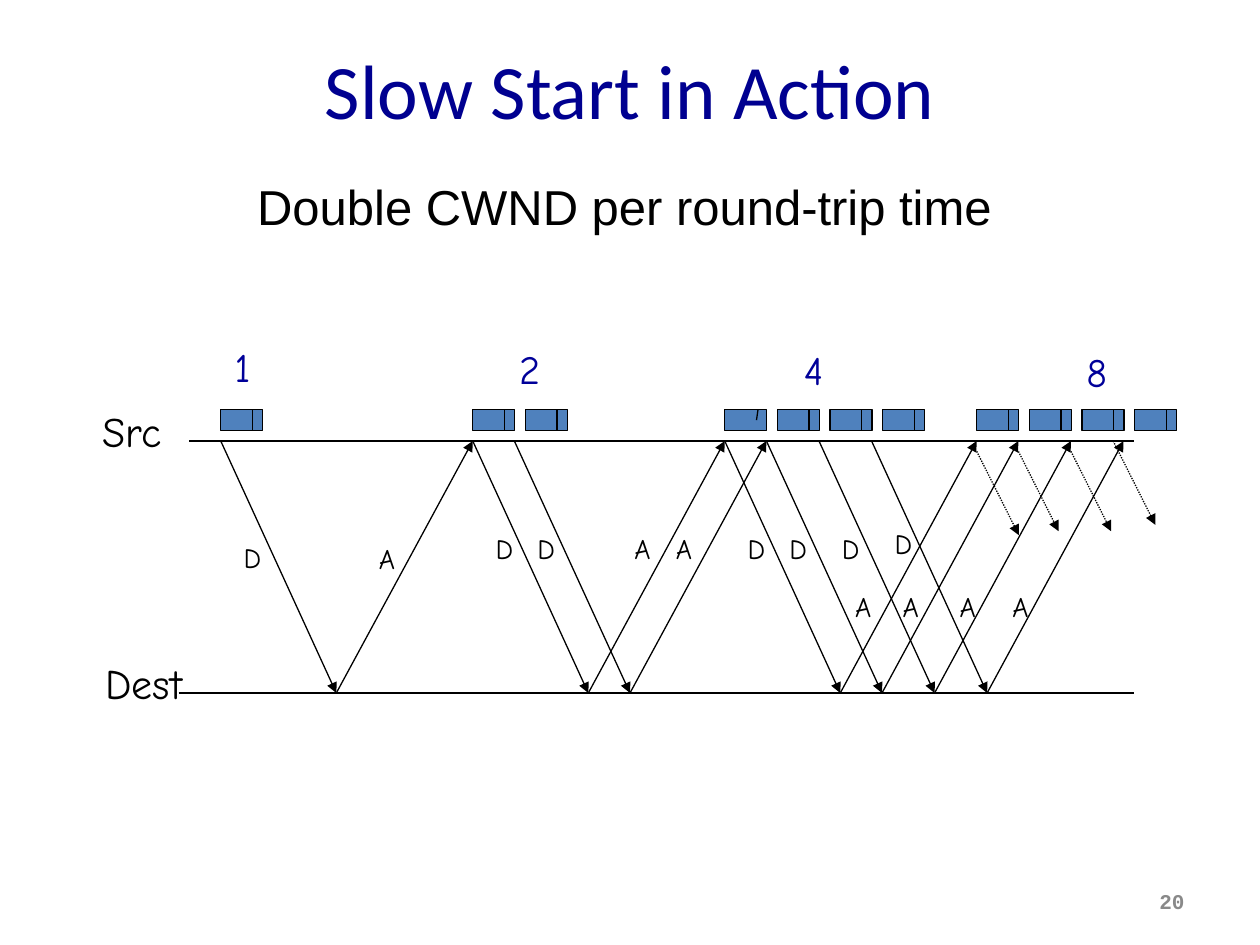
import pptx
import pptx.dml.color
import pptx.enum.dml
import pptx.enum.shapes
import pptx.enum.text
import pptx.oxml.ns
import pptx.util
from lxml import etree

Cm = pptx.util.Cm
Pt = pptx.util.Pt
RGBColor = pptx.dml.color.RGBColor
Align = pptx.enum.text.PP_ALIGN
Anchor = pptx.enum.text.MSO_ANCHOR
qn = pptx.oxml.ns.qn

BLACK = RGBColor(0x00, 0x00, 0x00)
NAVY = RGBColor(0x00, 0x00, 0x90)
COUNT_BLUE = RGBColor(0x00, 0x00, 0x99)
PACKET_BLUE = RGBColor(0x4F, 0x81, 0xBD)
GRAY = RGBColor(0x89, 0x89, 0x89)

SRC_Y, DEST_Y = 8.89, 13.97
PACKET_Y, PACKET_W, PACKET_H = 8.26, 0.85, 0.42
DIVIDER = 0.64
FIRST_X, ROUND_TRIP, ONE_WAY = 4.45, 5.08, 2.33
PACKET_PITCH = 1.06
LABEL_W, LABEL_H = 0.91, 0.94


class Diagram:
    line_width = Pt(0.75)
    hand_font = "Comic Neue"

    def __init__(self, prs):
        self.s = prs.slides.add_slide(prs.slide_layouts[6])

    def text(self, x, y, w, h, text, size, font=hand_font, color=BLACK,
             align=Align.CENTER, anchor=Anchor.TOP, bold=False, wrap=False):
        tf = self.s.shapes.add_textbox(Cm(x), Cm(y), Cm(w), Cm(h)).text_frame
        tf.word_wrap = wrap
        tf.vertical_anchor = anchor
        p = tf.paragraphs[0]
        p.alignment = align
        r = p.add_run()
        r.text = text
        r.font.size = Pt(size)
        r.font.name = font
        r.font.bold = bold
        r.font.color.rgb = color

    def label(self, center, y, text):
        self.text(center - LABEL_W / 2, y, LABEL_W, LABEL_H, text, 16)

    def line(self, x1, y1, x2, y2, arrow=False, dotted=False):
        c = self.s.shapes.add_connector(
            pptx.enum.shapes.MSO_CONNECTOR.STRAIGHT, Cm(x1), Cm(y1), Cm(x2), Cm(y2))
        c.line.width = self.line_width
        c.line.color.rgb = BLACK
        if dotted:
            c.line.dash_style = pptx.enum.dml.MSO_LINE.ROUND_DOT
        spPr = c.element.spPr
        if arrow:
            etree.SubElement(spPr.find(qn("a:ln")), qn("a:tailEnd"), type="triangle")
        etree.SubElement(spPr, qn("a:effectLst"))

    def packet(self, x, slanted=False):
        sp = self.s.shapes.add_shape(
            pptx.enum.shapes.MSO_SHAPE.RECTANGLE,
            Cm(x), Cm(PACKET_Y), Cm(PACKET_W), Cm(PACKET_H))
        sp.shadow.inherit = False
        sp.fill.solid()
        sp.fill.fore_color.rgb = PACKET_BLUE
        sp.line.color.rgb = BLACK
        sp.line.width = self.line_width
        top_x = x + DIVIDER + (0.03 if slanted else 0)
        bottom = PACKET_Y + PACKET_H * (0.5 if slanted else 1)
        self.line(top_x, PACKET_Y, x + DIVIDER, bottom)

    def exchange(self, x, data_y, ack_x, ack_y):
        self.line(x, SRC_Y, x + ONE_WAY, DEST_Y, arrow=True)
        self.line(x + ONE_WAY, DEST_Y, x + ROUND_TRIP, SRC_Y, arrow=True)
        self.label(x + 0.64, data_y, "D")
        self.label(ack_x, ack_y, "A")


def main():
    prs = pptx.Presentation()
    prs.slide_width, prs.slide_height = Cm(25.4), Cm(19.05)
    d = Diagram(prs)

    d.text(1.27, 0.2, 22.86, 3.18, "Slow Start in Action", 44, "Calibri", NAVY,
           anchor=Anchor.MIDDLE, wrap=True)
    d.text(18.2, 17.65, 5.93, 1.02, "20", 12, "Courier New", GRAY,
           align=Align.RIGHT, anchor=Anchor.MIDDLE, bold=True, wrap=True)
    d.text(4.9, 3.43, 15.37, 1.45, "Double CWND per round-trip time", 28, "Arial")

    d.line(3.81, SRC_Y, 22.86, SRC_Y)
    d.line(3.6, DEST_Y, 22.86, DEST_Y)
    d.text(1.7, 8.05, 1.93, 1.27, "Src", 24)
    d.text(1.7, 13.13, 2.39, 1.27, "Dest", 24)

    for x, data_y, ack_x, ack_y in [
        (4.45, 10.77, 7.8, 10.8),
        (9.53, 10.59, 12.95, 10.59),
        (10.37, 10.59, 13.79, 10.59),
        (14.61, 10.59, 17.4, 11.76),
        (15.45, 10.59, 18.36, 11.76),
        (16.51, 10.59, 19.51, 11.76),
        (17.57, 10.49, 20.57, 11.76),
    ]:
        d.exchange(x, data_y, ack_x, ack_y)

    for trip, packets in enumerate([1, 2, 4, 4]):
        for i in range(packets):
            d.packet(FIRST_X + trip * ROUND_TRIP + i * PACKET_PITCH,
                     slanted=(trip, i) == (2, 0))

    for x, y, dx, dy in [(19.69, 9.1, 0.85, 1.69), (20.53, 9.1, 0.81, 1.61),
                         (21.59, 9.1, 0.81, 1.61), (22.44, 8.89, 0.85, 1.69)]:
        d.line(x, y, x + dx, y + dy, arrow=True, dotted=True)

    for count, center, y in [("1", 4.89, 6.78), ("2", 10.68, 6.81),
                             ("4", 16.4, 6.83), ("8", 22.11, 6.88)]:
        d.text(center - 0.52, y, 1.04, 1.3, count, 23, color=COUNT_BLUE)

    prs.save("out.pptx")


if __name__ == "__main__":
    main()
